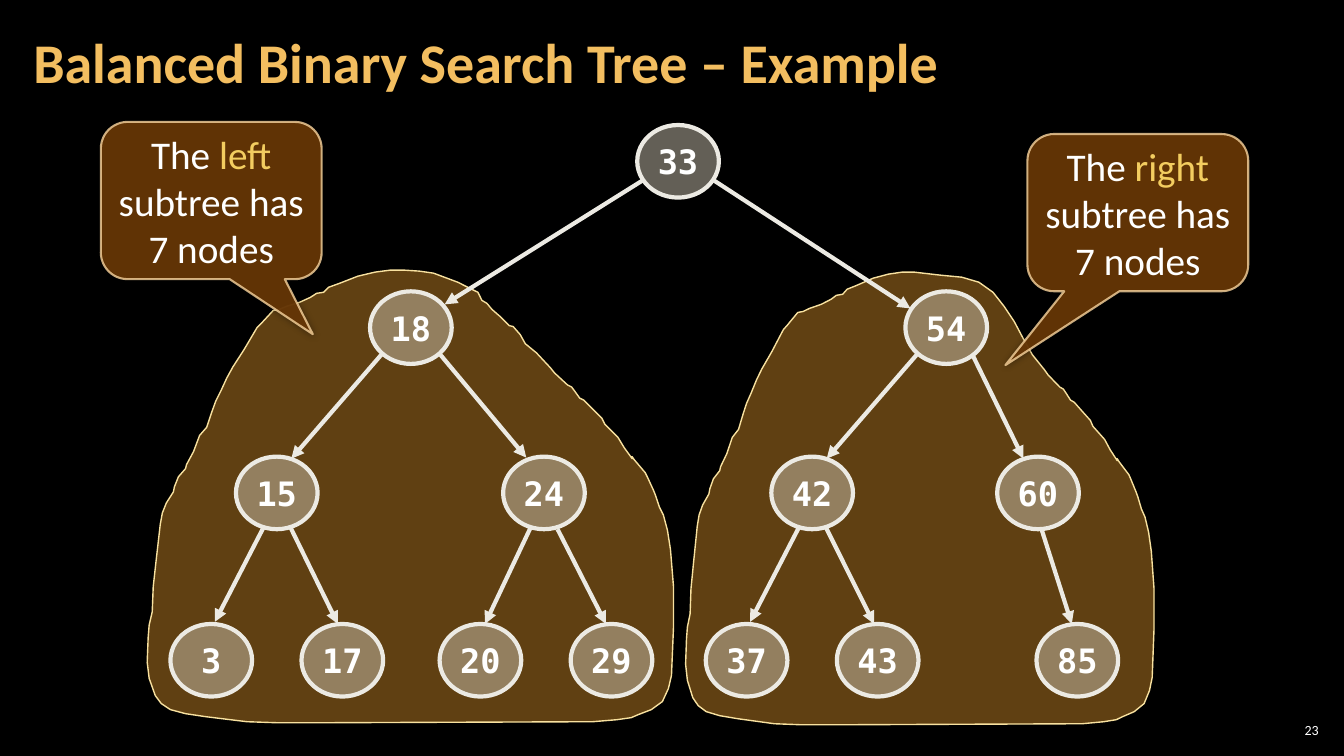
import pptx
import pptx.dml.color
import pptx.enum.shapes
import pptx.enum.text
import pptx.oxml
import pptx.oxml.ns
import pptx.util
from lxml import etree

Inches = pptx.util.Inches
Shape = pptx.enum.shapes.MSO_SHAPE
Align = pptx.enum.text.PP_ALIGN
Middle = pptx.enum.text.MSO_ANCHOR.MIDDLE

NODE_SIZE = (0.81, 0.72)
NODES = [  # left, top, key
    (6.32, 1.24, "33"),
    (3.67, 2.89, "18"), (8.98, 2.89, "54"),
    (2.34, 4.53, "15"), (4.99, 4.53, "24"), (7.65, 4.53, "42"), (9.89, 4.53, "60"),
    (1.69, 6.19, "3"), (2.99, 6.19, "17"), (4.36, 6.19, "20"), (5.66, 6.19, "29"),
    (7, 6.19, "37"), (8.3, 6.19, "43"), (10.28, 6.19, "85"),
]
EDGES = [  # start x, start y, end x, end y
    (6.39, 1.78, 4.41, 3.02), (7.08, 1.79, 9.03, 3.06),
    (3.79, 3.51, 2.89, 4.55), (4.36, 3.51, 5.22, 4.54),
    (9.1, 3.51, 8.2, 4.55), (9.65, 3.53, 10.15, 4.55),
    (2.61, 5.24, 2.13, 6.17), (2.88, 5.23, 3.35, 6.19),
    (5.26, 5.24, 4.81, 6.19), (5.53, 5.25, 6.01, 6.19),
    (7.92, 5.24, 7.44, 6.17), (8.19, 5.23, 8.67, 6.19),
    (10.33, 5.25, 10.63, 6.19),
]

# Both subtree hills share this outline; only the right shoulder differs.
PEAK = (4.01, 2.68)
HILL = [
    PEAK, (3.87, 2.68), (3.72, 2.7), (3.55, 2.74), (3.37, 2.81), (3.26, 2.85),
    (3.21, 2.9), (3.14, 2.91), (3.08, 2.95), (2.97, 3), (2.84, 3.04), (2.77, 3.07),
    (2.71, 3.08), (2.59, 3.21), (2.55, 3.25), (2.42, 3.47), (2.31, 3.64),
    (2.25, 3.75), (2.19, 3.88), (2.14, 3.98), (2.1, 4.09), (2.05, 4.24),
    (1.98, 4.32), (1.92, 4.48), (1.85, 4.61), (1.84, 4.65), (1.77, 4.73),
    (1.73, 4.83), (1.72, 4.88), (1.65, 4.99), (1.61, 5.09), (1.59, 5.2),
    (1.55, 5.55), (1.52, 5.82), (1.51, 6.07), (1.48, 6.2), (1.47, 6.32),
    (1.46, 6.57), (1.48, 6.73), (1.54, 6.9), (1.6, 6.98), (1.69, 7.04),
    (1.84, 7.08), (2.04, 7.11), (2.45, 7.16), (2.75, 7.17), (3.19, 7.17),
    (5.88, 7.16), (6.12, 7.14), (6.26, 7.12), (6.33, 7.09), (6.46, 7.04),
    (6.57, 6.96), (6.63, 6.83), (6.66, 6.7), (6.68, 6.22), (6.68, 5.82),
    (6.65, 5.45), (6.62, 5.26), (6.58, 5.11), (6.54, 5.03), (6.5, 4.91),
    (6.48, 4.86), (6.42, 4.73), (6.4, 4.69), (6.29, 4.56), (6.27, 4.53),
    (6.27, 4.55), (6.19, 4.44), (6.13, 4.34), (6.04, 4.25), (6, 4.21),
    (5.97, 4.15), (5.9, 4.08), (5.83, 4.01), (5.79, 3.97), (5.75, 3.95),
    (5.7, 3.88), (5.67, 3.84), (5.63, 3.82), (5.5, 3.7), (5.46, 3.65),
]
LEFT_SHOULDER = [
    (5.32, 3.5), (5.21, 3.41), (5.16, 3.32), (5.09, 3.24), (5.05, 3.23),
    (4.96, 3.14), (4.88, 3.07), (4.83, 3.01), (4.78, 2.98), (4.74, 2.9),
    (4.7, 2.88), (4.54, 2.8), (4.3, 2.71), (4.16, 2.69),
]
RIGHT_SHOULDER = [
    (10.24, 3.52), (10.15, 3.36), (10.06, 3.19), (9.96, 3.04), (9.85, 2.9),
    (9.71, 2.8), (9.54, 2.75), (9.33, 2.73),
]
RIGHT_HILL = [(9.07 + (x - PEAK[0]) * 0.89, y + 0.02) for x, y in HILL]


def colour(code):
    return pptx.dml.color.RGBColor.from_string(code)


def apply(target, **values):
    for name, value in values.items():
        setattr(target, name, value)


class TreeSlide:
    """Holds the slide and the style of its elements."""

    sans, mono = "Calibri", "DejaVu Sans Mono"
    white, pale = "FFFFFF", "ECEAE3"

    def __init__(self, deck):
        self.page = deck.slides.add_slide(deck.slide_layouts[5])
        self.shapes = self.page.shapes
        fill = self.page.background.fill
        fill.solid()
        fill.fore_color.rgb = colour("000000")

    def opacity(self, fill_format, percent):
        """Make a solid fill, or the fill of a line, partly transparent."""
        element = fill_format.fore_color._xFill
        alpha = etree.SubElement(element[0], pptx.oxml.ns.qn("a:alpha"))
        alpha.set("val", str(percent * 1000))

    def paint(self, shape, fill, opacity, line, width):
        shape.shadow.inherit = False
        shape.fill.solid()
        shape.fill.fore_color.rgb = colour(fill)
        self.opacity(shape.fill, opacity)
        shape.line.color.rgb = colour(line)
        shape.line.width = pptx.util.Pt(width)

    def letter(self, shape, spans, size, font, align, bold=False, wrap=True, **frame):
        """Fill a shape with one paragraph of (text, colour) spans."""
        apply(shape.text_frame, word_wrap=wrap, vertical_anchor=Middle, **frame)
        para = shape.text_frame.paragraphs[0]
        para.alignment = align
        for text, code in spans:
            span = para.add_run()
            span.text = text
            apply(span.font, name=font, size=pptx.util.Pt(size), bold=bold)
            span.font.color.rgb = colour(code)
        return para

    def title(self, text):
        box = self.shapes.title
        apply(box, left=Inches(0.21), top=Inches(0.04),
              width=Inches(10.47), height=Inches(1.21))
        para = self.letter(box, [(text, "F3BE60")], 40, self.sans, Align.LEFT, bold=True,
                           margin_left=Inches(0.12), margin_right=Inches(0.12),
                           margin_top=Inches(0.04), margin_bottom=Inches(0.04),
                           auto_size=pptx.enum.text.MSO_AUTO_SIZE.NONE)
        para.line_spacing = 0.9

    def page_number(self, text):
        box = self.shapes.add_textbox(*map(Inches, (12.65, 7.14, 0.47, 0.21)))
        margins = {f"margin_{side}": Inches(0.04)
                   for side in ("left", "right", "top", "bottom")}
        self.letter(box, [(text, self.white)], 10, self.sans, Align.RIGHT, **margins)

    def hill(self, points):
        start, *rest = [(Inches(x), Inches(y)) for x, y in points]
        builder = self.shapes.build_freeform(*start)
        builder.add_line_segments(rest, close=True)
        self.paint(builder.convert_to_shape(), "F0A22E", 40, "F8E19F", 1)

    def node(self, left, top, key):
        circle = self.shapes.add_shape(Shape.OVAL, *map(Inches, (left, top, *NODE_SIZE)))
        self.paint(circle, "C7BFAC", 50, self.pale, 3)
        self.letter(circle, [(key, self.white)], 24, self.mono, Align.CENTER,
                    bold=True, wrap=False)

    def arrow(self, *ends):
        straight = pptx.enum.shapes.MSO_CONNECTOR.STRAIGHT
        edge = self.shapes.add_connector(straight, *map(Inches, ends))
        edge.line.color.rgb = colour(self.pale)
        edge.line.width = pptx.util.Pt(3)
        qn = pptx.oxml.ns.qn
        etree.SubElement(edge.line._get_or_add_ln(), qn("a:tailEnd"), type="triangle")
        etree.SubElement(edge._element.spPr, qn("a:effectLst"))

    def callout(self, left, top, side, tip):
        bubble = self.shapes.add_shape(Shape.ROUNDED_RECTANGULAR_CALLOUT,
                                       *map(Inches, (left, top, 2.19, 1.56)))
        for index, value in enumerate((*tip, 0.17)):
            bubble.adjustments[index] = value
        self.paint(bubble, "663606", 95, "F8D49E", 1.5)
        self.opacity(bubble.line.fill, 80)
        effects = bubble._element.spPr.find(pptx.oxml.ns.qn("a:effectLst"))
        effects.append(pptx.oxml.parse_xml(
            f'<a:outerShdw {pptx.oxml.ns.nsdecls("a")} blurRad="63500" dist="0" dir="0">'
            '<a:srgbClr val="000000"><a:alpha val="40000"/></a:srgbClr></a:outerShdw>'))
        spans = [("The ", self.white), (side, "F3CD60"),
                 (" subtree has 7 nodes", self.white)]
        self.letter(bubble, spans, 28, self.sans, Align.CENTER)


def main():
    deck = pptx.Presentation()
    apply(deck, slide_width=Inches(13.33), slide_height=Inches(7.5))
    tree = TreeSlide(deck)
    tree.hill(RIGHT_HILL + RIGHT_SHOULDER)
    tree.hill(HILL + LEFT_SHOULDER)
    tree.page_number("23")
    tree.title("Balanced Binary Search Tree – Example")
    for node in NODES:
        tree.node(*node)
    for edge in EDGES:
        tree.arrow(*edge)
    tree.callout(1, 1.21, "left", (0.46, 0.85))
    tree.callout(10.19, 1.33, "right", (-0.6, 0.97))
    deck.save("out.pptx")


if __name__ == "__main__":
    main()
